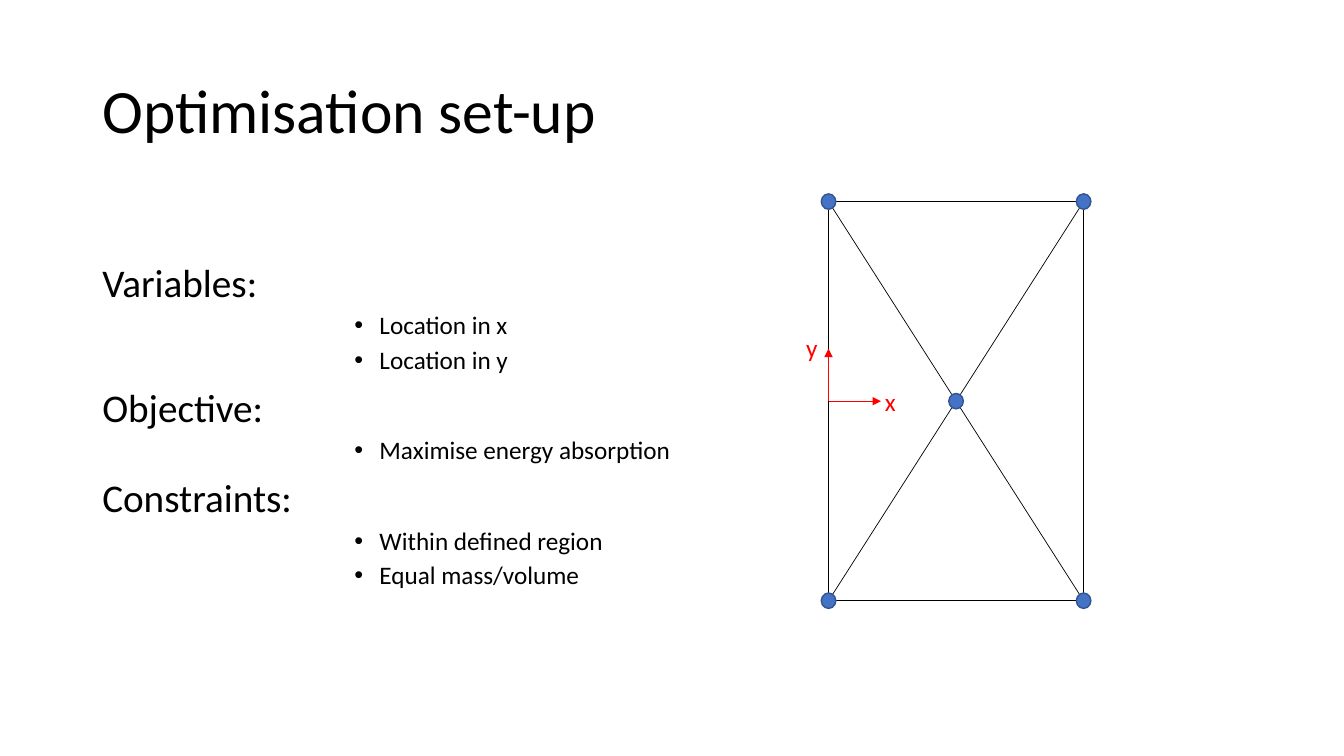
"""Build the optimisation set-up slide with a braced frame diagram."""
from dataclasses import dataclass

from lxml import etree
from pptx import Presentation
from pptx.dml.color import RGBColor
from pptx.enum.shapes import MSO_CONNECTOR, MSO_SHAPE
from pptx.enum.text import MSO_ANCHOR
from pptx.oxml.ns import qn
from pptx.util import Pt

STRAIGHT = MSO_CONNECTOR.STRAIGHT
RECTANGLE = MSO_SHAPE.RECTANGLE
OVAL = MSO_SHAPE.OVAL
MIDDLE = MSO_ANCHOR.MIDDLE
TOP = MSO_ANCHOR.TOP

BLACK = RGBColor(0x00, 0x00, 0x00)
RED = RGBColor(0xFF, 0x00, 0x00)
NODE_FILL = RGBColor(0x44, 0x72, 0xC4)
NODE_LINE = RGBColor(0x32, 0x54, 0x91)
FONT = "Calibri"

LEFT, RIGHT, UPPER, LOWER = 591.84, 774, 144, 429.12
CENTRE_X, CENTRE_Y = (LEFT + RIGHT) / 2, (UPPER + LOWER) / 2
NODE_WIDTH, NODE_HEIGHT = 10.4, 11
AXIS_LENGTH = 37.5


@dataclass(frozen=True)
class Section:
    """A heading with its bullet points."""
    heading: str
    points: tuple[str, ...]


@dataclass(frozen=True)
class Segment:
    """A straight line, with an arrowhead if asked."""
    x1: float
    y1: float
    x2: float
    y2: float
    color: RGBColor = BLACK
    arrow: bool = False


@dataclass(frozen=True)
class Label:
    """A single-line text in its own box."""
    text: str
    left: float
    top: float
    width: float
    height: float
    size: float
    color: RGBColor
    spacing: float = 1.0
    anchor: MSO_ANCHOR = TOP


SECTIONS = (
    Section("Variables:", ("Location in x", "Location in y")),
    Section("Objective:", ("Maximise energy absorption",)),
    Section("Constraints:", ("Within defined region", "Equal mass/volume")),
)
SEGMENTS = (
    Segment(LEFT, UPPER, RIGHT, LOWER),
    Segment(LEFT, LOWER, RIGHT, UPPER),
    Segment(LEFT, CENTRE_Y, LEFT + AXIS_LENGTH, CENTRE_Y, RED, True),
    Segment(LEFT, CENTRE_Y, LEFT, CENTRE_Y - AXIS_LENGTH, RED, True),
)
NODES = [(CENTRE_X, CENTRE_Y)] + [(x, y) for x in (LEFT, RIGHT) for y in (UPPER, LOWER)]
LABELS = (
    Label("Optimisation set-up", 66, 28.75, 828, 104.4, 44, BLACK, 0.9, MIDDLE),
    Label("x", 625, 272.2, 16.6, 29, 18, RED),
    Label("y", 568.8, 234, 16.6, 29, 18, RED),
)


def style_paragraph(para, size: float, color: RGBColor, spacing: float) -> None:
    """Set the line spacing and the font of every run."""
    para.line_spacing = spacing
    for span in para.runs:
        span.font.name = FONT
        span.font.size = Pt(size)
        span.font.color.rgb = color


def add_label(page, label: Label) -> None:
    """Add a text box holding one line."""
    box = page.shapes.add_textbox(
        Pt(label.left), Pt(label.top), Pt(label.width), Pt(label.height))
    frame = box.text_frame
    frame.word_wrap = True
    frame.vertical_anchor = label.anchor
    frame.text = label.text
    style_paragraph(frame.paragraphs[0], label.size, label.color, label.spacing)


def add_bullet(para) -> None:
    """Give a paragraph a hanging bullet."""
    para.level = 5
    properties = para._p.get_or_add_pPr()
    properties.set("marL", str(Pt(198)))
    properties.set("indent", str(Pt(-18)))
    etree.SubElement(properties, qn("a:buFont")).set("typeface", "Arial")
    etree.SubElement(properties, qn("a:buChar")).set("char", "•")


def add_sections(page, sections: tuple[Section, ...]) -> None:
    """Add the headings and bullets in one text box."""
    frame = page.shapes.add_textbox(Pt(66), Pt(144), Pt(828), Pt(342.7)).text_frame
    frame.word_wrap = True
    frame.margin_top = Pt(44.4)
    for number, section in enumerate(sections):
        heading = frame.add_paragraph() if number else frame.paragraphs[0]
        heading.text = section.heading
        heading.space_before = Pt(10 if number else 0)
        style_paragraph(heading, 28, BLACK, 0.9)
        for point in section.points:
            para = frame.add_paragraph()
            para.text = point
            para.space_before = Pt(5)
            style_paragraph(para, 18, BLACK, 0.9)
            add_bullet(para)


def add_frame(page) -> None:
    """Add the unfilled outer rectangle."""
    outline = page.shapes.add_shape(
        RECTANGLE, Pt(LEFT), Pt(UPPER), Pt(RIGHT - LEFT), Pt(LOWER - UPPER))
    outline.shadow.inherit = False
    outline.fill.background()
    outline.line.color.rgb = BLACK
    outline.line.width = Pt(1)


def add_segment(page, segment: Segment) -> None:
    """Add a brace or an axis arrow."""
    connector = page.shapes.add_connector(
        STRAIGHT, Pt(segment.x1), Pt(segment.y1), Pt(segment.x2), Pt(segment.y2))
    connector.line.color.rgb = segment.color
    connector.line.width = Pt(0.5)
    if segment.arrow:
        line = connector.line._get_or_add_ln()
        etree.SubElement(line, qn("a:tailEnd")).set("type", "triangle")
    etree.SubElement(connector._element.spPr, qn("a:effectLst"))


def add_node(page, x: float, y: float) -> None:
    """Add a joint centred on a point."""
    node = page.shapes.add_shape(
        OVAL, Pt(x - NODE_WIDTH / 2), Pt(y - NODE_HEIGHT / 2),
        Pt(NODE_WIDTH), Pt(NODE_HEIGHT))
    node.shadow.inherit = False
    node.fill.solid()
    node.fill.fore_color.rgb = NODE_FILL
    node.line.color.rgb = NODE_LINE
    node.line.width = Pt(1)


def main() -> None:
    """Build and save the deck."""
    deck = Presentation()
    deck.slide_width, deck.slide_height = Pt(960), Pt(540)
    page = deck.slides.add_slide(deck.slide_layouts[6])
    add_sections(page, SECTIONS)
    add_frame(page)
    for segment in SEGMENTS:
        add_segment(page, segment)
    for x, y in NODES:
        add_node(page, x, y)
    for label in LABELS:
        add_label(page, label)
    deck.save("out.pptx")


main()
